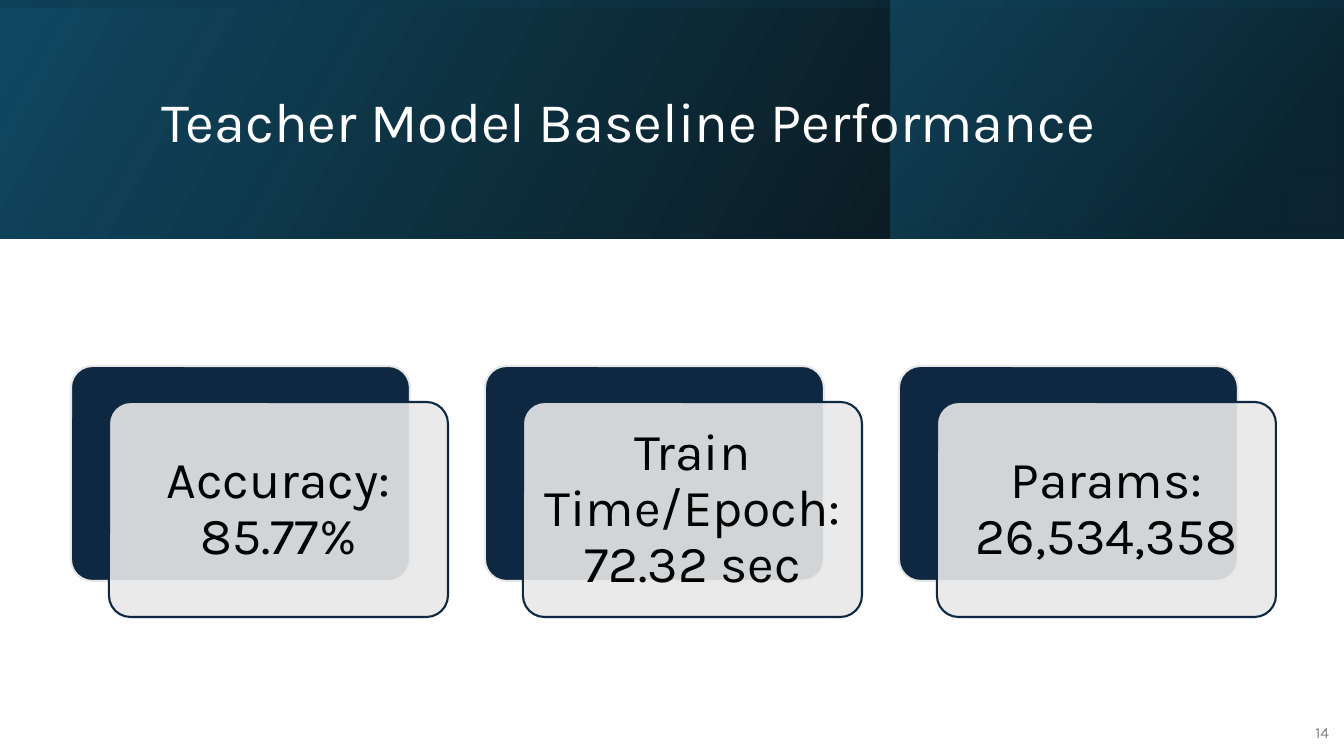
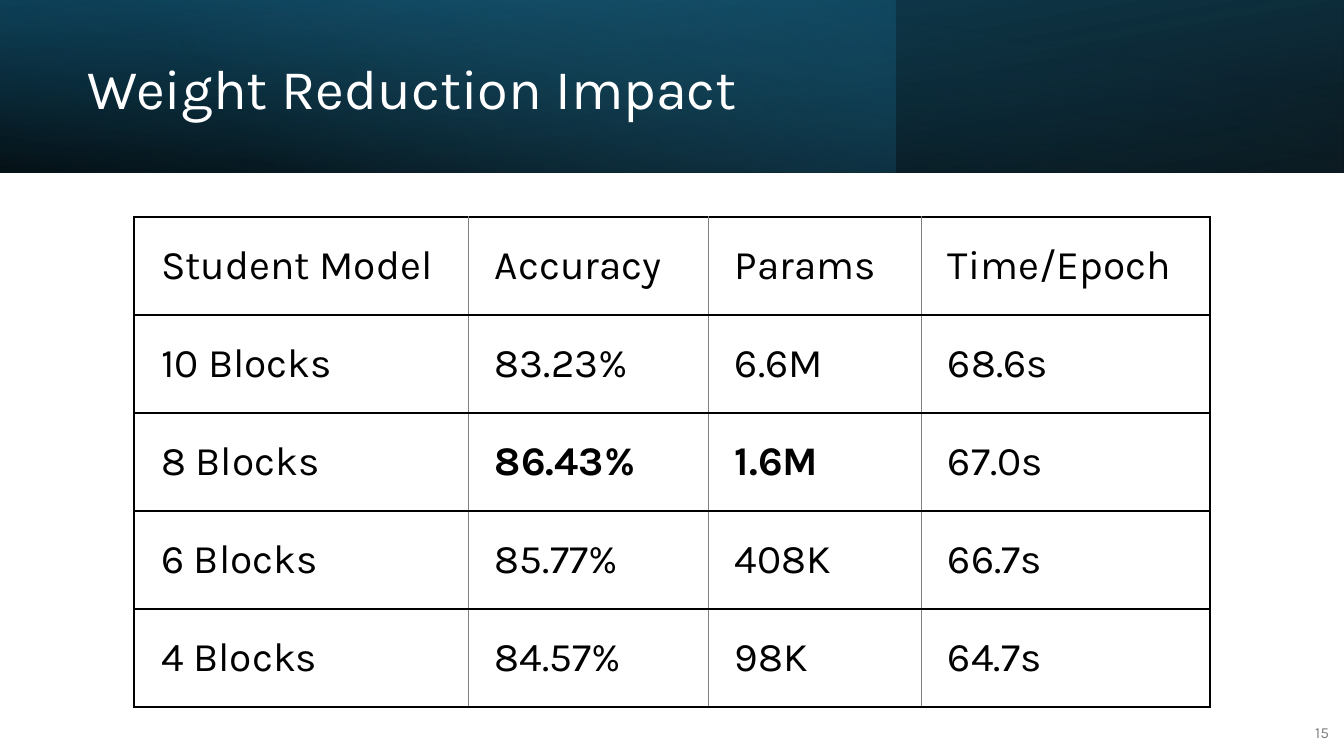
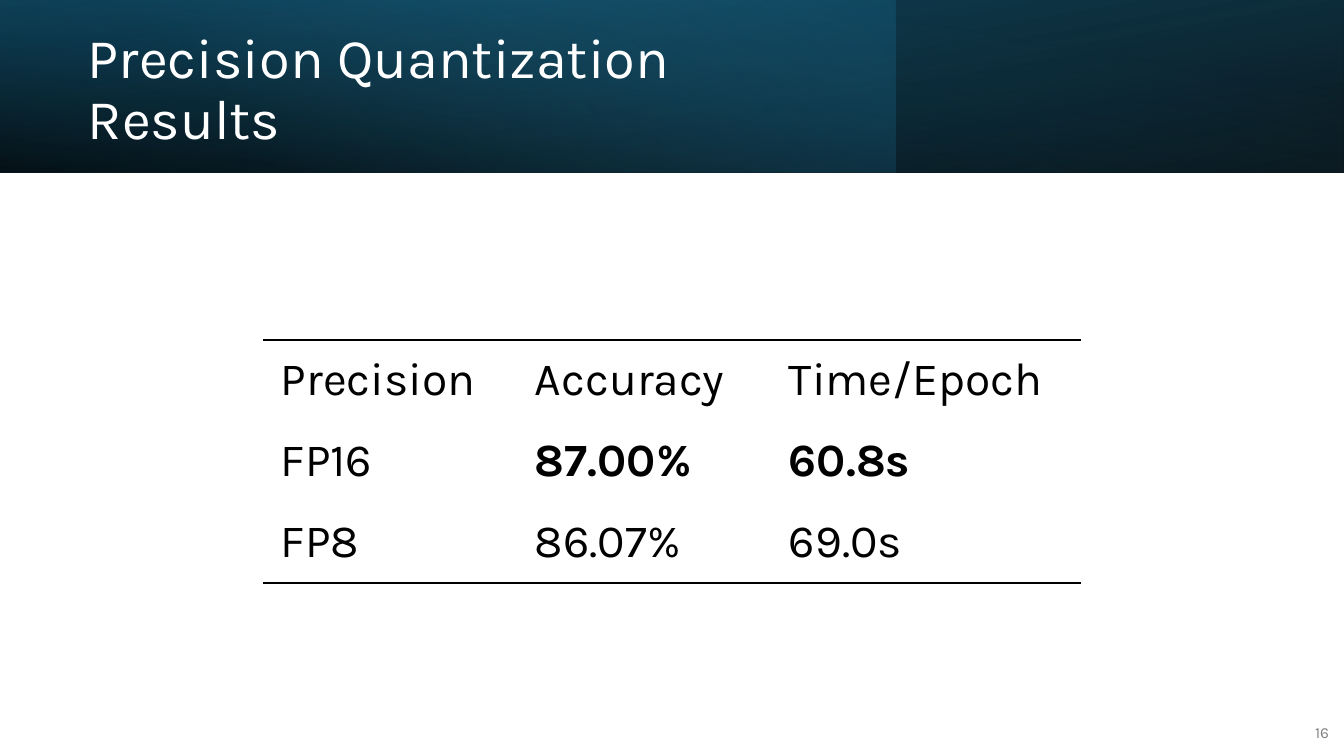
from lxml import etree
from pptx import Presentation
from pptx.dml.color import RGBColor
from pptx.enum.shapes import MSO_SHAPE
from pptx.enum.text import MSO_ANCHOR, PP_ALIGN
from pptx.oxml.ns import qn
from pptx.util import Pt

RECT, ROUND = MSO_SHAPE.RECTANGLE, MSO_SHAPE.ROUNDED_RECTANGLE
LEFT, CENTER, RIGHT = PP_ALIGN.LEFT, PP_ALIGN.CENTER, PP_ALIGN.RIGHT
MIDDLE = MSO_ANCHOR.MIDDLE

WHITE = RGBColor(0xFF, 0xFF, 0xFF)
BLACK = RGBColor(0x00, 0x00, 0x00)
GRAY = RGBColor(0x80, 0x80, 0x80)
PALE = RGBColor(0xE8, 0xE8, 0xE8)
NAVY = RGBColor(0x0E, 0x28, 0x41)
DEEP = RGBColor(0x10, 0x48, 0x62)
TEAL = RGBColor(0x15, 0x60, 0x82)
INK = RGBColor(0x0B, 0x30, 0x41)
SKY = RGBColor(0x46, 0xB1, 0xE1)

FONT = "Karla"
WIDE, HIGH = 1344, 756
SCALE = 914400 / 100.8
TALL, LOW = 239, 173  # heights of the two title bands


def px(n):
    return round(n * SCALE)


def fade(color, alpha):
    """Set the opacity, in percent, of a colour element."""
    etree.SubElement(color, qn("a:alpha")).set("val", str(alpha * 1000))


def put(frame, text, size=40, color=BLACK, bold=False, align=LEFT,
        space=None, inset=(10, 5, 10, 5)):
    frame.word_wrap = True
    frame.vertical_anchor = MIDDLE
    (frame.margin_left, frame.margin_top,
     frame.margin_right, frame.margin_bottom) = map(px, inset)
    para = frame.paragraphs[0]
    para.alignment = align
    para.line_spacing = space
    run = para.add_run()
    run.text = text
    font = run.font
    font.name, font.size, font.bold = FONT, Pt(size), bold
    font.color.rgb = color


def edge(cell, side, line):
    """Draw one cell border; line is (colour, points) or None."""
    ln = etree.SubElement(cell._tc.get_or_add_tcPr(), qn("a:ln" + side))
    if line is None:
        etree.SubElement(ln, qn("a:noFill"))
        return
    color, width = line
    ln.set("w", str(Pt(width)))
    fill = etree.SubElement(ln, qn("a:solidFill"))
    etree.SubElement(fill, qn("a:srgbClr")).set("val", str(color))


class Deck:
    def __init__(self):
        self.prs = Presentation()
        self.prs.slide_width, self.prs.slide_height = px(WIDE), px(HIGH)
        self.slide = None

    def page(self, number):
        self.slide = self.prs.slides.add_slide(self.prs.slide_layouts[6])
        self.text(str(number), (1290, 712, 49, 40), size=11, color=GRAY,
                  align=RIGHT)

    def text(self, text, box, **style):
        frame = self.slide.shapes.add_textbox(*map(px, box)).text_frame
        put(frame, text, **style)

    def title(self, text, box):
        self.text(text, box, color=WHITE, space=0.9)

    def shape(self, kind, box):
        shape = self.slide.shapes.add_shape(kind, *map(px, box))
        shape.shadow.inherit = False
        return shape

    def band(self, box, stops, angle, flip=True, turn=0):
        """Gradient rectangle; stops are (percent, colour, opacity)."""
        shape = self.shape(RECT, box)
        shape.line.fill.background()
        shape.rotation = turn
        props = shape._element.spPr
        if flip:
            props.find(qn("a:xfrm")).set("flipH", "1")
        fill = shape.fill
        fill.gradient()
        fill.gradient_angle = 360 - angle
        for stop, (place, color, _) in zip(fill.gradient_stops, stops):
            stop.position = place / 100
            stop.color.rgb = color
        for color, stop in zip(props.iter(qn("a:srgbClr")), stops):
            fade(color, stop[2])

    def tall(self, title):
        self.band((0, 0, WIDE, TALL), [(0, BLACK, 96), (100, DEEP, 100)], 330)
        self.band((891, 0, 452, TALL), [(19, INK, 68), (100, TEAL, 48)], 320)
        shift = (WIDE - TALL) // 2
        self.band((shift, -shift, TALL, WIDE),
                  [(23, DEEP, 16), (99, BLACK, 45)], 350, turn=270)
        self.title(title, (152, 38, 1072, 173))

    def low(self, title):
        full = (0, 0, WIDE, LOW)
        self.band(full, [(0, BLACK, 96), (100, DEEP, 100)], 100, turn=180)
        self.band((0, 0, 896, LOW), [(0, TEAL, 41), (74, SKY, 0)], 140,
                  flip=False)
        self.band(full, [(0, BLACK, 63), (78, TEAL, 15)], 260)
        self.title(title, (78, 27, 778, 128))

    def panel(self, x, y, fill, line):
        shape = self.shape(ROUND, (x, y, 339, 215))
        shape.adjustments[0] = 0.1
        shape.fill.solid()
        shape.fill.fore_color.rgb = fill
        shape.line.color.rgb = line
        shape.line.width = Pt(1.5)
        return shape

    def card(self, x, y, text):
        self.panel(x, y, NAVY, PALE)
        front = self.panel(x + 38, y + 36, PALE, NAVY)
        fade(front._element.spPr.find(qn("a:solidFill"))[0], 90)
        put(front.text_frame, text, size=37, align=CENTER, space=0.9,
            inset=(15,) * 4)

    def table(self, at, cols, row, data, lines, bold, **style):
        """lines gives outer side, outer top, inner side and inner row lines."""
        count, last = len(data), len(cols) - 1
        box = (*at, sum(cols), row * count)
        grid = self.slide.shapes.add_table(
            count, len(cols), *map(px, box)).table
        grid.first_row = grid.horz_banding = False
        for col, width in zip(grid.columns, cols):
            col.width = px(width)
        side, top, inner, rule = lines
        for r, texts in enumerate(data):
            grid.rows[r].height = px(row)
            for c, text in enumerate(texts):
                cell = grid.cell(r, c)
                edge(cell, "L", inner if c else side)
                edge(cell, "R", inner if c < last else side)
                edge(cell, "T", rule if r else top)
                edge(cell, "B", rule if r < count - 1 else top)
                cell.fill.background()
                put(cell.text_frame, text, bold=text in bold, **style)
                cell.vertical_anchor = MIDDLE
                (cell.margin_left, cell.margin_top, cell.margin_right,
                 cell.margin_bottom) = map(px, style["inset"])


def main():
    deck = Deck()

    deck.page(14)
    deck.tall("Teacher Model Baseline Performance")
    facts = ["Accuracy: 85.77%", "Train Time/Epoch: 72.32 sec",
             "Params: 26,534,358"]
    for i, fact in enumerate(facts):
        deck.card(71 + 414 * i, 366, fact)

    deck.page(15)
    deck.low("Weight Reduction Impact")
    thick, thin = (BLACK, 1.5), (GRAY, 0.5)
    deck.table((134, 217), [334, 240, 213, 289], 98, [
        ["Student Model", "Accuracy", "Params", "Time/Epoch"],
        ["10 Blocks", "83.23%", "6.6M", "68.6s"],
        ["8 Blocks", "86.43%", "1.6M", "67.0s"],
        ["6 Blocks", "85.77%", "408K", "66.7s"],
        ["4 Blocks", "84.57%", "98K", "64.7s"],
    ], (thick, thick, thin, thick), {"86.43%", "1.6M"},
        size=29, inset=(27, 21, 21, 21))

    deck.page(16)
    deck.low("Precision Quantization Results")
    deck.table((263, 340), [254, 254, 310], 81, [
        ["Precision", "Accuracy", "Time/Epoch"],
        ["FP16", "87.00%", "60.8s"],
        ["FP8", "86.07%", "69.0s"],
    ], (None, (BLACK, 1), None, None), {"87.00%", "60.8s"},
        size=33, inset=(18, 9, 18, 9))

    deck.prs.save("out.pptx")


if __name__ == "__main__":
    main()
